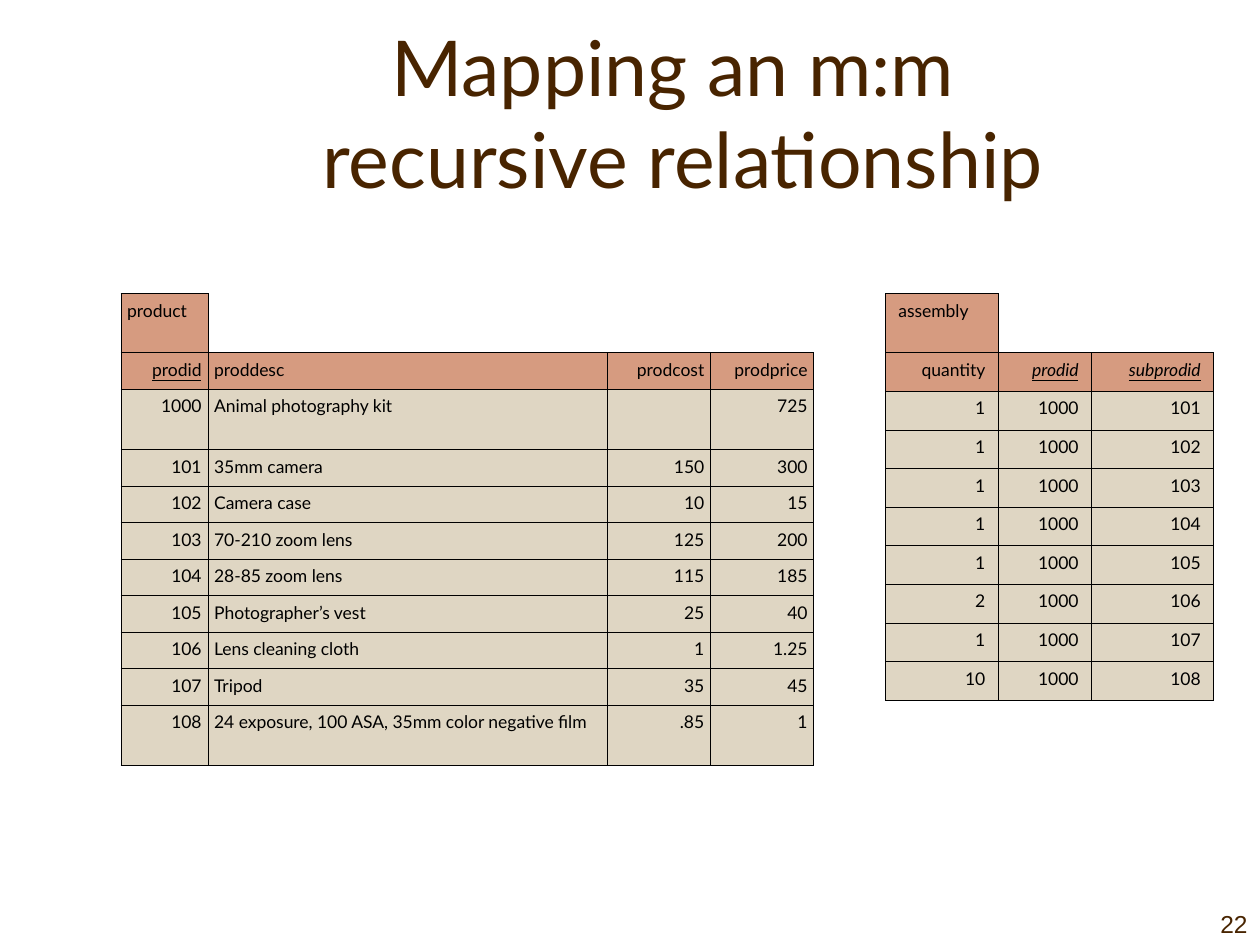
from dataclasses import dataclass

from lxml.etree import SubElement
from pptx import Presentation
from pptx.dml.color import RGBColor
from pptx.enum.text import MSO_ANCHOR, MSO_AUTO_SIZE, PP_ALIGN
from pptx.oxml.ns import qn
from pptx.util import Inches, Pt

COLORS = {"brown": "482400", "black": "000000", "header": "D69B80", "body": "DFD6C3"}


@dataclass(frozen=True)
class Relation:
    name: str
    left: float
    margin: float
    widths: tuple[float, ...]
    heights: tuple[float, ...]
    columns: tuple[str, ...]
    records: tuple[tuple[str, ...], ...]
    keys: tuple[str, ...]
    foreign_keys: tuple[str, ...] = ()
    text_columns: tuple[str, ...] = ()


PRODUCT = Relation(
    name="product", left=0.96, margin=0.05,
    widths=(0.69, 3.17, 0.82, 0.82),
    heights=(0.47, 0.29, 0.48) + (0.29,) * 7 + (0.48,),
    columns=("prodid", "proddesc", "prodcost", "prodprice"),
    records=(
        ("1000", "Animal photography kit", "", "725"),
        ("101", "35mm camera", "150", "300"),
        ("102", "Camera case", "10", "15"),
        ("103", "70-210 zoom lens", "125", "200"),
        ("104", "28-85 zoom lens", "115", "185"),
        ("105", "Photographer’s vest", "25", "40"),
        ("106", "Lens cleaning cloth", "1", "1.25"),
        ("107", "Tripod", "35", "45"),
        ("108", "24 exposure, 100 ASA, 35mm color negative film", ".85", "1"),
    ),
    keys=("prodid",), text_columns=("proddesc",),
)

QUANTITIES = (1, 1, 1, 1, 1, 2, 1, 10)
ASSEMBLY = Relation(
    name="assembly", left=7.03, margin=0.1,
    widths=(0.89, 0.74, 0.97),
    heights=(0.47,) + (2.76 / 9,) * 9,
    columns=("quantity", "prodid", "subprodid"),
    records=tuple((str(quantity), "1000", str(subprodid))
                  for subprodid, quantity in enumerate(QUANTITIES, start=101)),
    keys=("prodid", "subprodid"), foreign_keys=("prodid", "subprodid"),
)


def add_run(paragraph, text: str, size: float, font: str, color: str):
    run = paragraph.add_run()
    run.text = text
    run.font.size = Pt(size)
    run.font.name = font
    run.font.color.rgb = RGBColor.from_string(COLORS[color])
    return run


def set_borders(cell, visible: str) -> None:
    """Draw the sides named in visible (L, R, T, B) and clear the others."""
    properties = cell._tc.get_or_add_tcPr()
    for side in "LRTB":
        line = SubElement(properties, qn(f"a:ln{side}"), w=str(int(Pt(0.45))))
        if side in visible:
            fill = SubElement(line, qn("a:solidFill"))
            SubElement(fill, qn("a:srgbClr"), val=COLORS["black"])
        else:
            SubElement(line, qn("a:noFill"))


def write_cell(cell, text: str, margin: float, align: PP_ALIGN, key: bool, foreign: bool) -> None:
    cell.margin_left = cell.margin_right = Inches(margin)
    cell.margin_top = cell.margin_bottom = Inches(0.05)
    paragraph = cell.text_frame.paragraphs[0]
    paragraph.alignment = align
    paragraph.space_before = paragraph.space_after = Pt(3)
    run = add_run(paragraph, text, 10, "Lato", "black")
    if key:
        run.font.underline = True
    if foreign:
        run.font.italic = True


def add_relation(slide, relation: Relation) -> None:
    blanks = ("",) * (len(relation.columns) - 1)
    rows = ((relation.name, *blanks), relation.columns, *relation.records)
    table = slide.shapes.add_table(
        len(rows), len(relation.columns), Inches(relation.left), Inches(2.33),
        Inches(sum(relation.widths)), Inches(sum(relation.heights))).table
    table.first_row = table.horz_banding = False
    for column, width in zip(table.columns, relation.widths):
        column.width = Inches(width)
    for row, height in zip(table.rows, relation.heights):
        row.height = Inches(height)

    for r, values in enumerate(rows):
        for c, (column_name, text) in enumerate(zip(relation.columns, values)):
            cell = table.cell(r, c)
            # The name row is open to the right of its first cell
            if r == 0 and c > 0:
                set_borders(cell, "LB" if c == 1 else "B")
                cell.fill.background()
                continue
            set_borders(cell, "LRTB")
            cell.fill.solid()
            cell.fill.fore_color.rgb = RGBColor.from_string(COLORS["header" if r < 2 else "body"])
            if text:
                justified = r == 0 or column_name in relation.text_columns
                write_cell(cell, text, relation.margin,
                           PP_ALIGN.JUSTIFY if justified else PP_ALIGN.RIGHT,
                           key=r == 1 and text in relation.keys,
                           foreign=r == 1 and text in relation.foreign_keys)


presentation = Presentation()
presentation.slide_width, presentation.slide_height = Inches(10), Inches(7.5)
slide = presentation.slides.add_slide(presentation.slide_layouts[5])

# Title
title = slide.shapes.title
title.left, title.top, title.width, title.height = map(Inches, (1.17, 0.42, 8.5, 1.25))
title.text_frame.auto_size = MSO_AUTO_SIZE.NONE
title.text_frame.vertical_anchor = MSO_ANCHOR.BOTTOM
heading = title.text_frame.paragraphs[0]
heading.alignment = PP_ALIGN.CENTER
add_run(heading, "Mapping an m:m ", 44, "Lato", "brown")
heading.add_line_break()
add_run(heading, "recursive relationship", 44, "Lato", "brown")

# Relations
for relation in (PRODUCT, ASSEMBLY):
    add_relation(slide, relation)

# Page number
page_frame = slide.shapes.add_textbox(Inches(9), Inches(7), Inches(1), Inches(0.5)).text_frame
page_frame.word_wrap = True
page_frame.vertical_anchor = MSO_ANCHOR.BOTTOM
page_number = page_frame.paragraphs[0]
page_number.alignment = PP_ALIGN.RIGHT
add_run(page_number, "22", 14, "Arial", "brown")

presentation.save("out.pptx")
